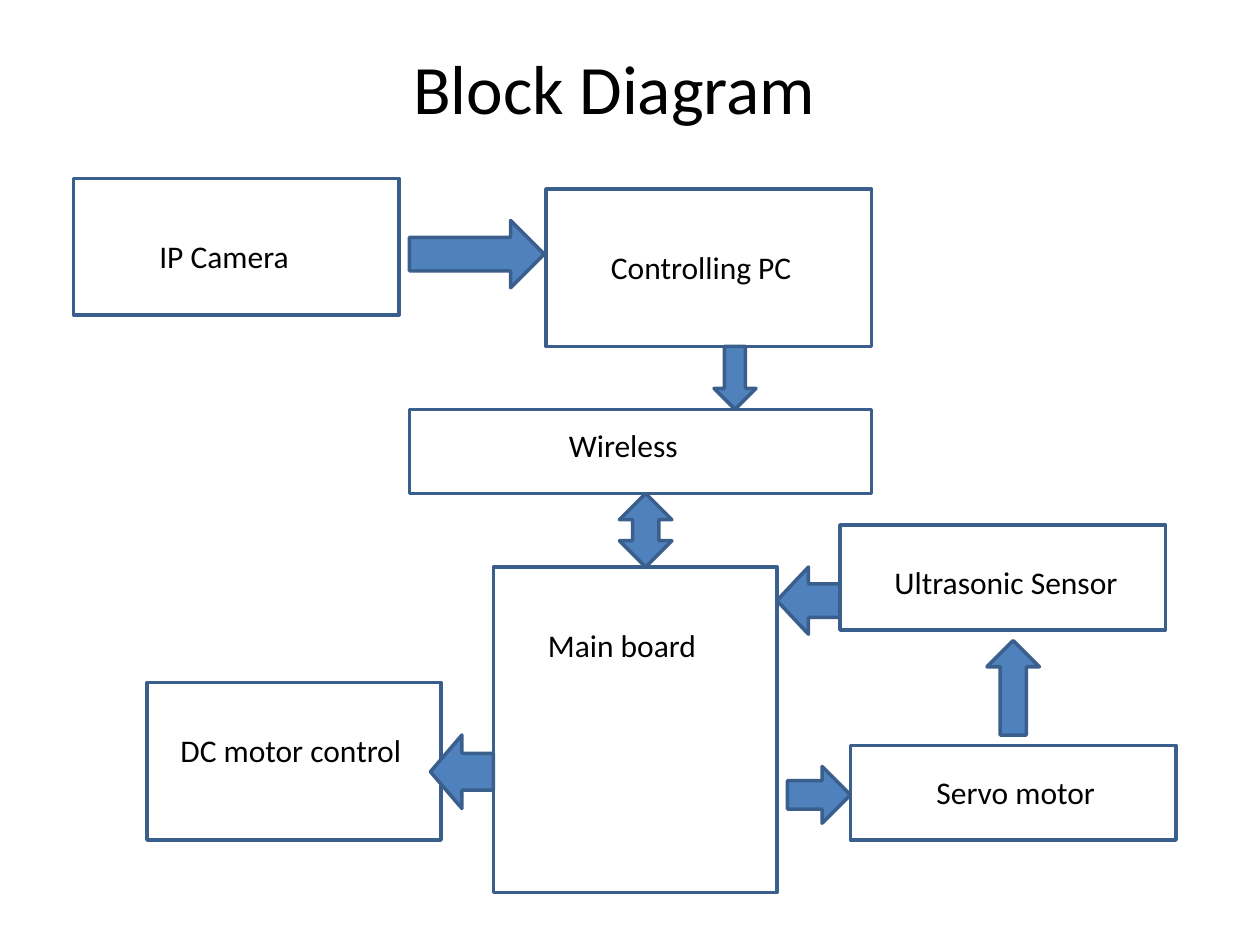
import pptx
import pptx.util
import pptx.dml.color
from pptx.enum.shapes import MSO_SHAPE
from pptx.enum.text import MSO_ANCHOR, MSO_AUTO_SIZE, PP_ALIGN

Pt = pptx.util.Pt

TITLE = "Block Diagram"
OUTLINE, ARROW_FILL, INK = "3A5F8C", "4F81BD", "000000"
LABEL_HEIGHT = 29

# preset, (left, top, width, height), label, (label left, top, width)
BLOCKS = [
    (MSO_SHAPE.RECTANGLE, (282, 324, 162, 186), "Main board", (306, 354, 113)),
    (MSO_SHAPE.FLOWCHART_PROCESS, (480, 300, 186, 60), "Ultrasonic Sensor", (504, 318, 143)),
    (MSO_SHAPE.FLOWCHART_PROCESS, (486, 426, 186, 54), "Servo motor", (528, 438, 106)),
    (MSO_SHAPE.FLOWCHART_PROCESS, (84, 390, 168, 90), "DC motor control", (96, 414, 142)),
    (MSO_SHAPE.FLOWCHART_PROCESS, (234, 234, 264, 48), "Wireless", (318, 240, 78)),
    (MSO_SHAPE.RECTANGLE, (312, 108, 186, 90), "Controlling PC", (342, 138, 123)),
    (MSO_SHAPE.RECTANGLE, (42, 102, 186, 78), "IP Camera", (84, 132, 89)),
]
ARROWS = [
    (MSO_SHAPE.UP_DOWN_ARROW, (354, 282, 30, 42)),
    (MSO_SHAPE.RIGHT_ARROW, (450, 438, 36, 32.4)),
    (MSO_SHAPE.LEFT_ARROW, (444, 324, 36, 38.4)),
    (MSO_SHAPE.UP_ARROW, (564, 366, 30, 54)),
    (MSO_SHAPE.LEFT_ARROW, (246, 420, 36, 42)),
    (MSO_SHAPE.RIGHT_ARROW, (234, 126, 77, 38.4)),
    (MSO_SHAPE.DOWN_ARROW, (408, 198, 24, 36)),
]


def color(hex_code):
    return pptx.dml.color.RGBColor.from_string(hex_code)


def points(box):
    return [Pt(length) for length in box]


def write(frame, text, size, align, **frame_format):
    frame.text = text
    for name, value in frame_format.items():
        setattr(frame, name, value)
    paragraph = frame.paragraphs[0]
    paragraph.alignment = align
    font = paragraph.runs[0].font
    for name, value in {"name": "Calibri", "size": Pt(size)}.items():
        setattr(font, name, value)
    font.color.rgb = color(INK)


def add_outlined(slide, preset, box, fill=None):
    shape = slide.shapes.add_shape(preset, *points(box))
    shape.shadow.inherit = False
    shape.line.color.rgb = color(OUTLINE)
    shape.line.width = Pt(2)
    if fill:
        shape.fill.solid()
        shape.fill.fore_color.rgb = color(fill)
    else:
        shape.fill.background()


def main():
    deck = pptx.Presentation()
    deck.slide_width, deck.slide_height = Pt(720), Pt(540)
    slide = deck.slides.add_slide(deck.slide_layouts[5])

    title = slide.shapes.title
    title.left, title.top, title.width, title.height = points((36, 21.6, 630, 56))
    write(title.text_frame, TITLE, 39.6, PP_ALIGN.CENTER,
          vertical_anchor=MSO_ANCHOR.MIDDLE, auto_size=MSO_AUTO_SIZE.NONE)

    for preset, box, label, label_box in BLOCKS:
        add_outlined(slide, preset, box)
        caption = slide.shapes.add_textbox(*points((*label_box, LABEL_HEIGHT)))
        write(caption.text_frame, label, 18, PP_ALIGN.LEFT,
              word_wrap=False, auto_size=MSO_AUTO_SIZE.SHAPE_TO_FIT_TEXT)

    for preset, box in ARROWS:
        add_outlined(slide, preset, box, ARROW_FILL)

    deck.save("out.pptx")


if __name__ == "__main__":
    main()
